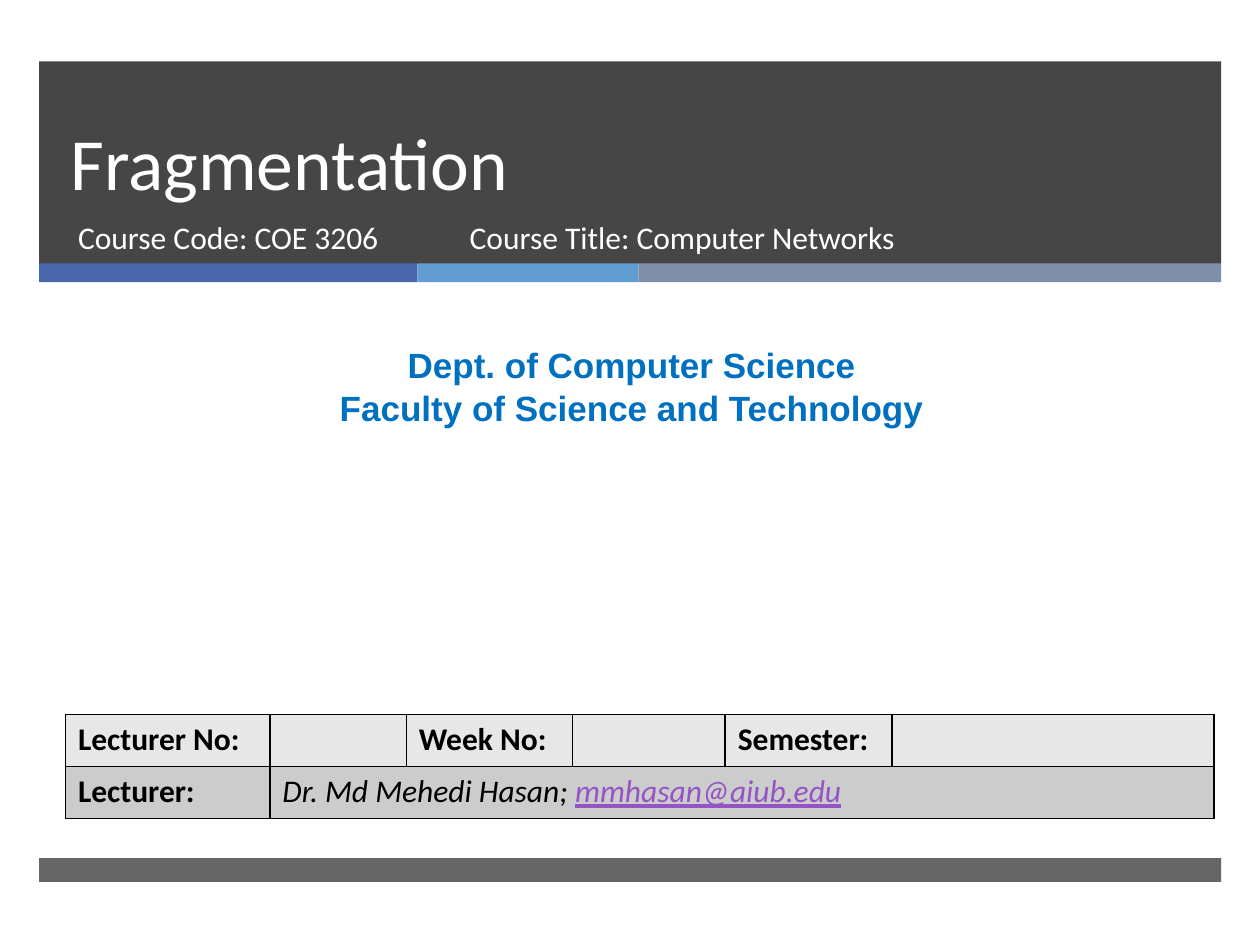
from collections import namedtuple

from lxml.etree import SubElement
from pptx import Presentation
from pptx.dml.color import RGBColor
from pptx.enum.shapes import MSO_SHAPE
from pptx.enum.text import MSO_ANCHOR, MSO_AUTO_SIZE, PP_ALIGN
from pptx.oxml.ns import qn
from pptx.util import Cm, Pt

WHITE = RGBColor(0xFF, 0xFF, 0xFF)
BLACK = RGBColor(0x00, 0x00, 0x00)
CHARCOAL = RGBColor(0x26, 0x26, 0x26)
INDIGO = RGBColor(0x4A, 0x66, 0xAC)
SKY = RGBColor(0x62, 0x9D, 0xD1)
SLATE = RGBColor(0x7F, 0x8F, 0xA9)
HEADING_BLUE = RGBColor(0x00, 0x70, 0xC0)
EMAIL_PURPLE = RGBColor(0x94, 0x54, 0xC3)
LIGHT_GREY = RGBColor(0xE7, 0xE7, 0xE7)
MID_GREY = RGBColor(0xCC, 0xCC, 0xCC)

Box = namedtuple("Box", "left top width height")


def place(shape, box):
    shape.left, shape.top, shape.width, shape.height = (Cm(length) for length in box)


def style(span, size, color, font="Calibri", bold=False, italic=False):
    span.font.name = font
    span.font.size = Pt(size)
    span.font.color.rgb = color
    span.font.bold = bold
    span.font.italic = italic


def write(shape, lines, size, color, font="Calibri", bold=False,
          align=PP_ALIGN.LEFT, anchor=MSO_ANCHOR.TOP):
    frame = shape.text_frame
    frame.text = "\n".join(lines)
    frame.word_wrap = True
    frame.auto_size = MSO_AUTO_SIZE.NONE
    frame.vertical_anchor = anchor
    for para in frame.paragraphs:
        para.alignment = align
        para.space_before = Pt(0)
        for span in para.runs:
            style(span, size, color, font, bold)


def add_bar(page, box, color, opacity=100):
    bar = page.shapes.add_shape(MSO_SHAPE.RECTANGLE, *(Cm(length) for length in box))
    bar.shadow.inherit = False
    bar.fill.solid()
    bar.fill.fore_color.rgb = color
    bar.line.fill.background()
    if opacity < 100:
        tint = bar.element.spPr.find(f"{qn('a:solidFill')}/{qn('a:srgbClr')}")
        SubElement(tint, qn("a:alpha"), val=str(opacity * 1000))


def add_text(page, box, lines, **format):
    write(page.shapes.add_textbox(*(Cm(length) for length in box)), lines, **format)


def add_stripes(page, box):
    left = box.left
    for share, color in ((0.32, INDIGO), (0.187, SKY), (0.493, SLATE)):
        width = box.width * share
        add_bar(page, Box(left, box.top, width, box.height), color)
        left += width


def add_header(page, box):
    add_bar(page, box, CHARCOAL, 85)
    add_stripes(page, Box(box.left, box.top + 4.07, box.width, 0.38))

    title = page.shapes.title
    subtitle = page.placeholders[1]
    for holder in (title, subtitle):
        holder.element.getparent().append(holder.element)

    place(title, Box(box.left + 0.38, box.top, 21.69, 3.02))
    write(title, ["Fragmentation"], 42, WHITE, anchor=MSO_ANCHOR.BOTTOM)
    title.text_frame.paragraphs[0].line_spacing = Pt(46)

    course_top = box.top + 3.03
    place(subtitle, Box(box.left + 0.53, course_top, 7.75, 1.35))
    write(subtitle, ["Course Code: COE 3206"], 18, WHITE)
    add_text(page, Box(box.left + 8.43, course_top, 11.56, 1.35),
             ["Course Title: Computer Networks"], size=18, color=WHITE)


def add_department(page, box):
    add_text(page, box,
             ["Dept. of Computer Science", "Faculty of Science and Technology"],
             size=20, color=HEADING_BLUE, font="Arial", bold=True,
             align=PP_ALIGN.CENTER)


def set_borders(cell):
    properties = cell._tc.get_or_add_tcPr()
    for position, side in enumerate(("lnL", "lnR", "lnT", "lnB")):
        line = properties.makeelement(qn(f"a:{side}"), {"w": str(Pt(1))})
        fill = SubElement(line, qn("a:solidFill"))
        SubElement(fill, qn("a:srgbClr"), val=str(BLACK))
        properties.insert(position, line)


def add_lecture_table(page, box):
    widths = (4.12, 2.75, 3.35, 3.08, 3.36, 6.49)
    fills = (LIGHT_GREY, MID_GREY)
    labels = {(0, 0): "Lecturer No:", (0, 2): "Week No:",
              (0, 4): "Semester:", (1, 0): "Lecturer:"}
    table = page.shapes.add_table(len(fills), len(widths),
                                  *(Cm(length) for length in box)).table
    for column, width in zip(table.columns, widths):
        column.width = Cm(width)
    for row_index, fill in enumerate(fills):
        table.rows[row_index].height = Cm(box.height / len(fills))
        for column_index in range(len(widths)):
            cell = table.cell(row_index, column_index)
            cell.fill.solid()
            cell.fill.fore_color.rgb = fill
            set_borders(cell)
            if (row_index, column_index) in labels:
                cell.text_frame.text = labels[row_index, column_index]
                style(cell.text_frame.paragraphs[0].runs[0], 18, BLACK, bold=True)

    lecturer = table.cell(1, 1)
    lecturer.merge(table.cell(1, len(widths) - 1))
    para = lecturer.text_frame.paragraphs[0]
    for text, color, underline in (("Dr. Md Mehedi Hasan; ", BLACK, False),
                                   ("mmhasan@aiub.edu", EMAIL_PURPLE, True)):
        span = para.add_run()
        span.text = text
        style(span, 18, color, italic=True)
        span.font.underline = underline


def main():
    deck = Presentation()
    deck.slide_width, deck.slide_height = Cm(25.4), Cm(19.05)
    page = deck.slides.add_slide(deck.slide_layouts[0])
    add_header(page, Box(0.79, 1.24, 23.83, 4.09))
    add_bar(page, Box(0.79, 17.3, 23.83, 0.48), CHARCOAL, 70)
    add_department(page, Box(0.2, 6.81, 25.07, 1.96))
    add_lecture_table(page, Box(1.32, 14.4, 23.15, 2.1))
    deck.save("out.pptx")


if __name__ == "__main__":
    main()
